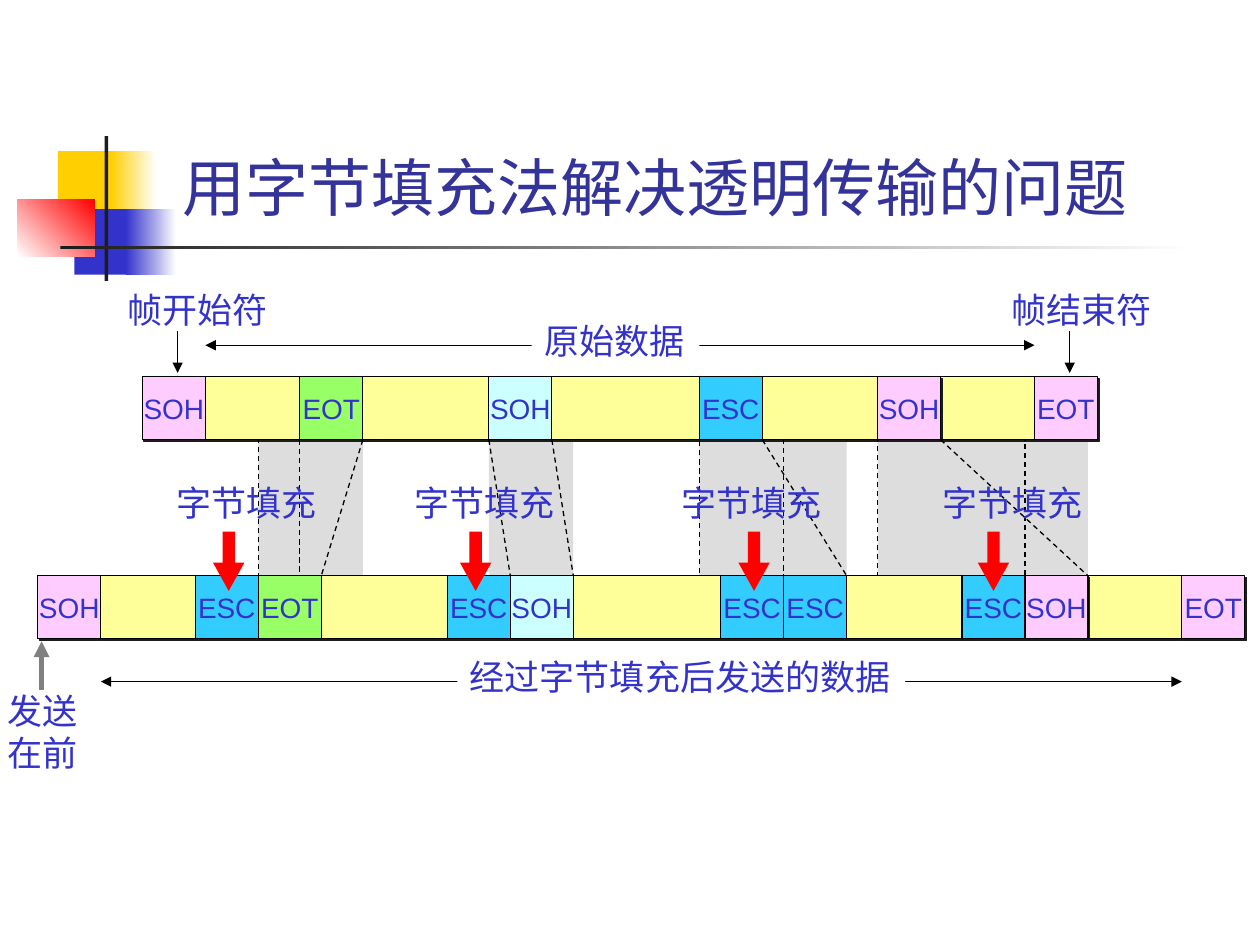
from dataclasses import dataclass
from typing import Optional

from lxml.etree import SubElement
from pptx import Presentation
from pptx.dml.color import RGBColor
from pptx.enum.dml import MSO_LINE
from pptx.enum.shapes import MSO_CONNECTOR, MSO_SHAPE as SHAPE
from pptx.enum.text import MSO_ANCHOR as ANCHOR, MSO_AUTO_SIZE as AUTO, PP_ALIGN as ALIGN
from pptx.oxml.ns import qn
from pptx.util import Inches, Pt


@dataclass(frozen=True)
class Theme:
    font: str = "Arial"
    title_pt: int = 36
    label_pt: int = 20
    byte_pt: int = 16
    line_pt: float = 0.75
    title: str = "333399"
    text: str = "3333CC"
    line: str = "000000"
    dark: str = "1C1C1C"
    white: str = "FFFFFF"
    gold: str = "FFCF01"
    red: str = "FF0000"
    gray: str = "808080"
    shade: str = "DDDDDD"
    data: str = "FFFF99"
    delimiter: str = "FFCCFF"
    escape: str = "33CCFF"
    green: str = "99FF66"
    aqua: str = "CCFFFF"


@dataclass(frozen=True)
class Byte:
    """A data byte to be escaped; offset counts cells from the frame's start."""
    text: str
    offset: float
    fill: str
    shadow: bool
    label_x: float
    arrow_x: float


@dataclass(frozen=True)
class Frame:
    x: float
    y: float
    cells: float

    def at(self, offset: float) -> float:
        return self.x + offset * CELL


T = Theme()
W, H = 10, 7.5
CELL = W / 20  # one byte: a column and a row of the grid
ORIGINAL = Frame(1.13, 2.99, 13.16)
STUFFED = Frame(0.3, 4.57, 17.16)
BYTES = [
    Byte("EOT", 2.5, T.green, False, 1.3, 1.69),
    Byte("SOH", 5.5, T.aqua, False, 3.19, 3.65),
    Byte("ESC", 8.84, T.escape, False, 5.31, 5.86),
    Byte("SOH", 11.67, T.delimiter, True, 7.38, 7.76),
]

prs = Presentation()
prs.slide_width, prs.slide_height = Inches(W), Inches(H)
s = prs.slides.add_slide(prs.slide_layouts[6])


def rgb(color: str) -> RGBColor:
    return RGBColor.from_string(color)


def style_text(tf, text: str, size: int, color: str, align=ALIGN.LEFT) -> None:
    tf.text = text
    for p in tf.paragraphs:
        p.alignment = align
        for r in p.runs:
            r.font.name, r.font.size = T.font, Pt(size)
            r.font.color.rgb = rgb(color)


def box(x: float, y: float, w: float, h: float, fill: Optional[str] = None,
        line: Optional[str] = None, kind=SHAPE.RECTANGLE):
    sp = s.shapes.add_shape(kind, Inches(x), Inches(y), Inches(w), Inches(h))
    sp.shadow.inherit = False
    if fill:
        sp.fill.solid()
        sp.fill.fore_color.rgb = rgb(fill)
    else:
        sp.fill.background()
    if line:
        sp.line.color.rgb, sp.line.width = rgb(line), Pt(T.line_pt)
    else:
        sp.line.fill.background()
    return sp


def fade(x: float, y: float, w: float, h: float, start: str, end: str, angle: float = 0) -> None:
    fill = box(x, y, w, h, start).fill
    fill.gradient()
    fill.gradient_angle = angle
    for stop, color, position in zip(fill.gradient_stops, (start, end), (0, 1)):
        stop.color.rgb, stop.position = rgb(color), position


def add_shadow(sp) -> None:
    effects = sp._element.spPr.find(qn("a:effectLst"))
    outer = SubElement(effects, qn("a:outerShdw"), dist=str(Pt(1.4)),
                       dir=str(45 * 60000), algn="ctr", rotWithShape="0")
    SubElement(outer, qn("a:srgbClr"), val=T.dark)


def cell(frame: Frame, offset: float, text: str, fill: str, shadow: bool = False) -> None:
    sp = box(frame.at(offset), frame.y, CELL, CELL, fill, T.line)
    if shadow:
        add_shadow(sp)
    sp.text_frame.word_wrap = False
    sp.text_frame.vertical_anchor = ANCHOR.MIDDLE
    style_text(sp.text_frame, text, T.byte_pt, T.text, ALIGN.CENTER)


def line(x1: float, y1: float, x2: float, y2: float, color: str = T.line,
         width: float = T.line_pt, dash: bool = False, ends: tuple = ()) -> None:
    cx = s.shapes.add_connector(MSO_CONNECTOR.STRAIGHT, *map(Inches, (x1, y1, x2, y2)))
    cx.line.color.rgb, cx.line.width = rgb(color), Pt(width)
    if dash:
        cx.line.dash_style = MSO_LINE.DASH
    for end in ends:
        SubElement(cx.line._get_or_add_ln(), qn(f"a:{end}"), type="triangle")
    SubElement(cx._element.spPr, qn("a:effectLst"))


def label(x: float, y: float, text: str, fill: Optional[str] = None) -> None:
    """A text box as large as its full-width characters, the insets and a little slack."""
    rows = text.split("\n")
    w, h = len(rows[0]) * T.label_pt / 72 + 0.22, 0.11 + 0.33 * len(rows)
    tb = s.shapes.add_textbox(*map(Inches, (x, y, w, h)))
    if fill:
        tb.fill.solid()
        tb.fill.fore_color.rgb = rgb(fill)
    tb.text_frame.word_wrap = False
    tb.text_frame.auto_size = AUTO.SHAPE_TO_FIT_TEXT
    style_text(tb.text_frame, text, T.label_pt, T.text)


def frame_base(frame: Frame) -> None:
    """Start delimiter, data field and end delimiter."""
    cell(frame, 0, "SOH", T.delimiter, True)
    add_shadow(box(frame.at(1), frame.y, frame.cells * CELL, CELL, T.data, T.line))
    cell(frame, frame.cells + 1, "EOT", T.delimiter, True)


def span(frame: Frame, y: float, text: str, text_x: float, text_y: float) -> None:
    line(frame.at(1), y, frame.at(frame.cells + 1), y, ends=("headEnd", "tailEnd"))
    label(text_x, text_y, text, T.white)


# Header ornament
box(0.46, 1.2, 0.48, 0.52, T.gold)
fade(0.88, 1.2, 0.36, 0.52, T.gold, T.white)
box(0.59, 1.66, 0.46, 0.52, T.text)
fade(1, 1.66, 0.4, 0.52, T.text, T.white)
fade(0.14, 1.58, 0.61, 0.46, T.white, T.red, 45)
box(0.83, 1.08, 0.03, 1.15, T.dark)
fade(0.48, 1.95, 9, 0.03, T.dark, T.white)

# Title
title = s.shapes.add_textbox(*map(Inches, (1.26, 0.23, 7.99, 1.6))).text_frame
title.word_wrap, title.vertical_anchor = True, ANCHOR.BOTTOM
style_text(title, "用字节填充法解决透明传输的问题 ", T.title_pt, T.title, ALIGN.CENTER)

# Gray areas between the frames; each byte moves right by the bytes stuffed so far
top, bottom = ORIGINAL.y + CELL, STUFFED.y
moves = [(ORIGINAL.at(b.offset), STUFFED.at(b.offset + n)) for n, b in enumerate(BYTES, 1)]
for old, new in moves:
    left = min(old, new)
    box(left, top, max(old, new) + CELL - left, bottom - top, T.shade)

# Frames and their bytes
for frame in (ORIGINAL, STUFFED):
    frame_base(frame)
for n, b in enumerate(BYTES):
    cell(ORIGINAL, b.offset, b.text, b.fill, b.shadow)
    cell(STUFFED, b.offset + n, "ESC", T.escape)
    cell(STUFFED, b.offset + n + 1, b.text, b.fill, b.shadow)

# Dashed guides from old to new places
for old, new in moves:
    if 0 < new - old < CELL / 2:
        line(old, top, new, bottom, dash=True)
    else:
        guide = box(min(old, new), top, abs(new - old), bottom - top, line=T.line)
        guide.line.dash_style = MSO_LINE.DASH
    line(old + CELL, top, new + CELL, bottom, dash=True)

# Data extents
span(ORIGINAL, 2.74, "原始数据", 4.22, 2.49)
span(STUFFED, 5.41, "经过字节填充后发送的数据", 3.63, 5.15)

# Stuffing marks
for b in BYTES:
    label(b.label_x, 3.77, "字节填充")
    arrow = box(b.arrow_x, 4.22, 0.25, 0.47, T.red, kind=SHAPE.DOWN_ARROW)
    arrow.adjustments[0], arrow.adjustments[1] = 0.39, 0.9

# Delimiter and sending-order notes
for text, text_x, arrow_x in (("帧开始符", 0.91, 1.41), ("帧结束符", 7.93, 8.49)):
    label(text_x, 2.24, text)
    line(arrow_x, 2.63, arrow_x, 2.96, ends=("tailEnd",))
line(0.33, 5.48, 0.33, 5.09, T.gray, 3, ends=("tailEnd",))
label(-0.04, 5.42, "发送\n在前")

prs.save("out.pptx")
